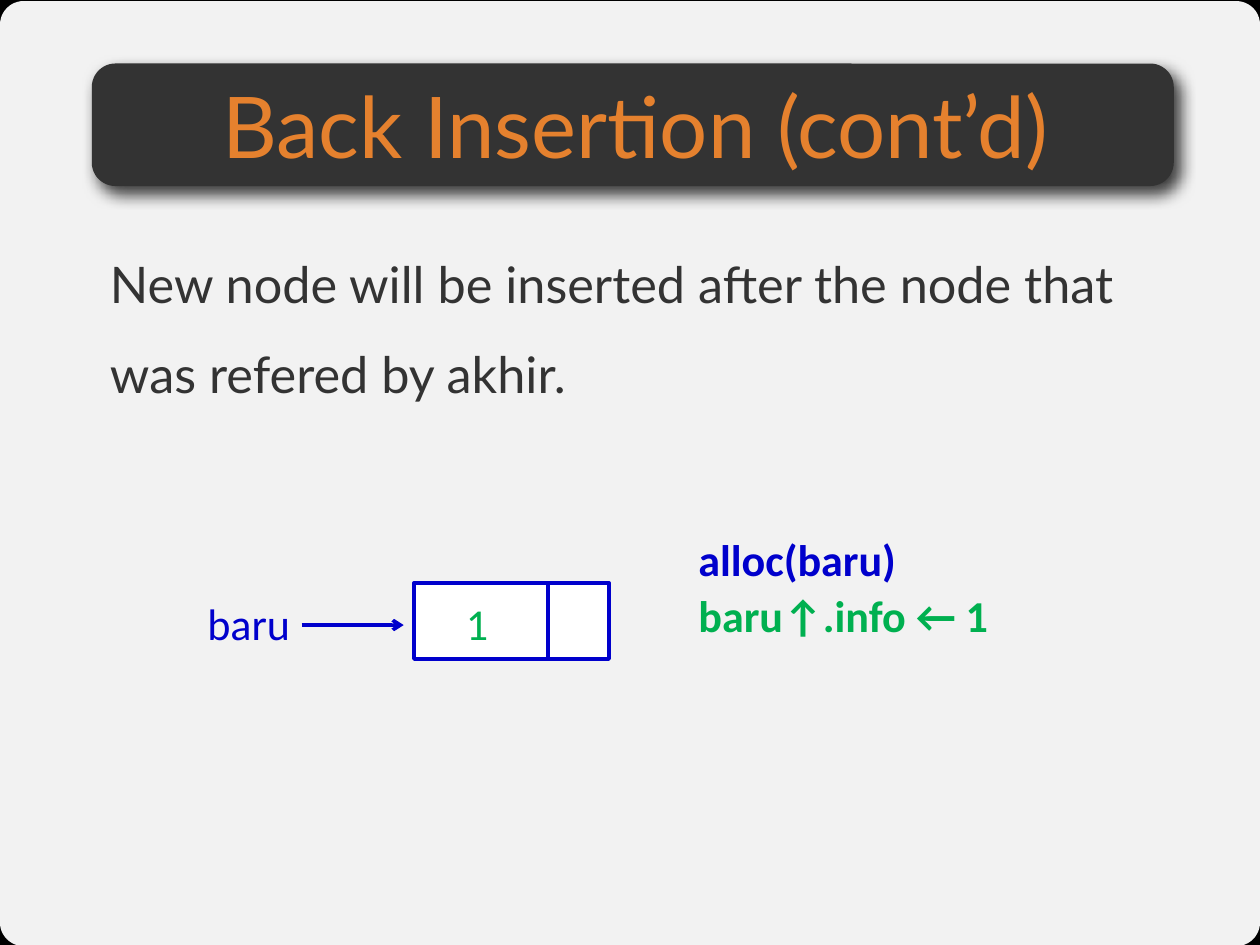
from dataclasses import dataclass

import pptx
import pptx.dml.color
import pptx.enum.shapes
import pptx.enum.text
import pptx.oxml
import pptx.oxml.ns
import pptx.util
from pptx.util import Inches

NAMESPACE = pptx.oxml.ns.nsdecls("a")
BLUE, GREEN, WHITE, DARK, ORANGE = "0000CC", "00B050", "FFFFFF", "333333", "E5812E"
LINE_WIDTH = 2.25


@dataclass
class Box:
    left: float
    top: float
    width: float
    height: float
    fill: str
    line: str = ""
    radius: float = 0  # share of the shorter side; 0 gives square corners


@dataclass
class Label:
    text: str
    left: float
    top: float
    width: float
    height: float
    size: float
    color: str
    font: str = "Calibri"
    bold: bool = False
    centered: bool = False
    inset: bool = True
    line_spacing: float = 1.0


@dataclass
class Line:
    start: tuple[float, float]
    end: tuple[float, float]
    arrow: bool = False


def rgb(color: str) -> pptx.dml.color.RGBColor:
    return pptx.dml.color.RGBColor.from_string(color)


def add_box(slide, box: Box):
    kinds = pptx.enum.shapes.MSO_SHAPE
    kind = kinds.ROUNDED_RECTANGLE if box.radius else kinds.RECTANGLE
    shape = slide.shapes.add_shape(kind, Inches(box.left), Inches(box.top), Inches(box.width), Inches(box.height))
    shape.shadow.inherit = False
    if box.radius:
        shape.adjustments[0] = box.radius
    shape.fill.solid()
    shape.fill.fore_color.rgb = rgb(box.fill)
    if box.line:
        shape.line.color.rgb = rgb(box.line)
        shape.line.width = pptx.util.Pt(LINE_WIDTH)
    else:
        shape.line.fill.background()
    return shape


def add_label(slide, label: Label) -> None:
    shape = slide.shapes.add_textbox(Inches(label.left), Inches(label.top), Inches(label.width), Inches(label.height))
    text_frame = shape.text_frame
    text_frame.word_wrap = True
    text_frame.text = label.text
    if not label.inset:
        text_frame.margin_left = text_frame.margin_right = 0
        text_frame.margin_top = text_frame.margin_bottom = 0
    paragraph = text_frame.paragraphs[0]
    paragraph.line_spacing = label.line_spacing
    if label.centered:
        paragraph.alignment = pptx.enum.text.PP_ALIGN.CENTER
        text_frame.vertical_anchor = pptx.enum.text.MSO_ANCHOR.MIDDLE
    font = paragraph.runs[0].font
    font.name, font.size, font.bold = label.font, pptx.util.Pt(label.size), label.bold
    font.color.rgb = rgb(label.color)


def add_line(slide, line: Line) -> None:
    points = [Inches(value) for value in (*line.start, *line.end)]
    connector = slide.shapes.add_connector(pptx.enum.shapes.MSO_CONNECTOR.STRAIGHT, *points)
    connector.line.color.rgb = rgb(BLUE)
    connector.line.width = pptx.util.Pt(LINE_WIDTH)
    if line.arrow:
        connector.line._get_or_add_ln().append(pptx.oxml.parse_xml(f'<a:tailEnd {NAMESPACE} type="arrow"/>'))
    connector._element.spPr.append(pptx.oxml.parse_xml(f"<a:effectLst {NAMESPACE}/>"))


def set_opacity(shape, percent: int) -> None:
    color = shape._element.spPr.find(".//" + pptx.oxml.ns.qn("a:srgbClr"))
    color.append(pptx.oxml.parse_xml(f'<a:alpha {NAMESPACE} val="{percent * 1000}"/>'))


def set_shadow(shape, opacity: int, blur: float, distance: float, angle: int) -> None:
    effects = shape._element.spPr.find(pptx.oxml.ns.qn("a:effectLst"))
    effects.append(pptx.oxml.parse_xml(
        f'<a:outerShdw {NAMESPACE} blurRad="{pptx.util.Pt(blur)}" dist="{pptx.util.Pt(distance)}"'
        f' dir="{angle * 60000}" algn="tl" rotWithShape="0">'
        f'<a:srgbClr val="000000"><a:alpha val="{opacity * 1000}"/></a:srgbClr></a:outerShdw>'))


PANEL = Box(0, 0.01, 11.11, 8.33, WHITE, radius=0.025)
TITLE_BAR = Box(0.81, 0.56, 9.54, 1.08, DARK, radius=0.192)
NODE = Box(3.65, 5.14, 1.72, 0.67, WHITE, line=BLUE)
LINES = [
    Line((4.83, NODE.top), (4.83, NODE.top + NODE.height)),
    Line((2.66, 5.51), (3.56, 5.51), arrow=True),
]
LABELS = [
    Label("Back Insertion (cont’d)", 0.68, 0.6, 9.84, 1, 54, ORANGE, "Lato", centered=True, inset=False),
    Label("New node will be inserted after the node that was refered by akhir.",
          0.97, 1.96, 9.56, 5.59, 32, DARK, "Lato", inset=False, line_spacing=1.5),
    Label("baru", 1.73, 5.21, 1, 0.57, 28, BLUE),
    Label("1", 4.01, 5.21, 0.63, 0.57, 28, GREEN),
    Label("alloc(baru)", 6.06, 4.64, 3.67, 0.75, 28, BLUE, bold=True),
    Label("baru↑.info ← 1", 6.06, 5.14, 3.67, 0.75, 28, GREEN, bold=True),
]


def main() -> None:
    presentation = pptx.Presentation()
    presentation.slide_width, presentation.slide_height = Inches(11.11), Inches(8.33)
    slide = presentation.slides.add_slide(presentation.slide_layouts[6])

    # Background and title bar
    slide.background.fill.solid()
    slide.background.fill.fore_color.rgb = rgb("000000")
    set_opacity(add_box(slide, PANEL), 95)
    set_shadow(add_box(slide, TITLE_BAR), opacity=75, blur=10, distance=6, angle=51)

    # Linked list node with its pointer
    add_box(slide, NODE)
    for line in LINES:
        add_line(slide, line)

    # Title, explanation, node labels and pseudocode
    for label in LABELS:
        add_label(slide, label)

    presentation.save("out.pptx")


if __name__ == "__main__":
    main()
